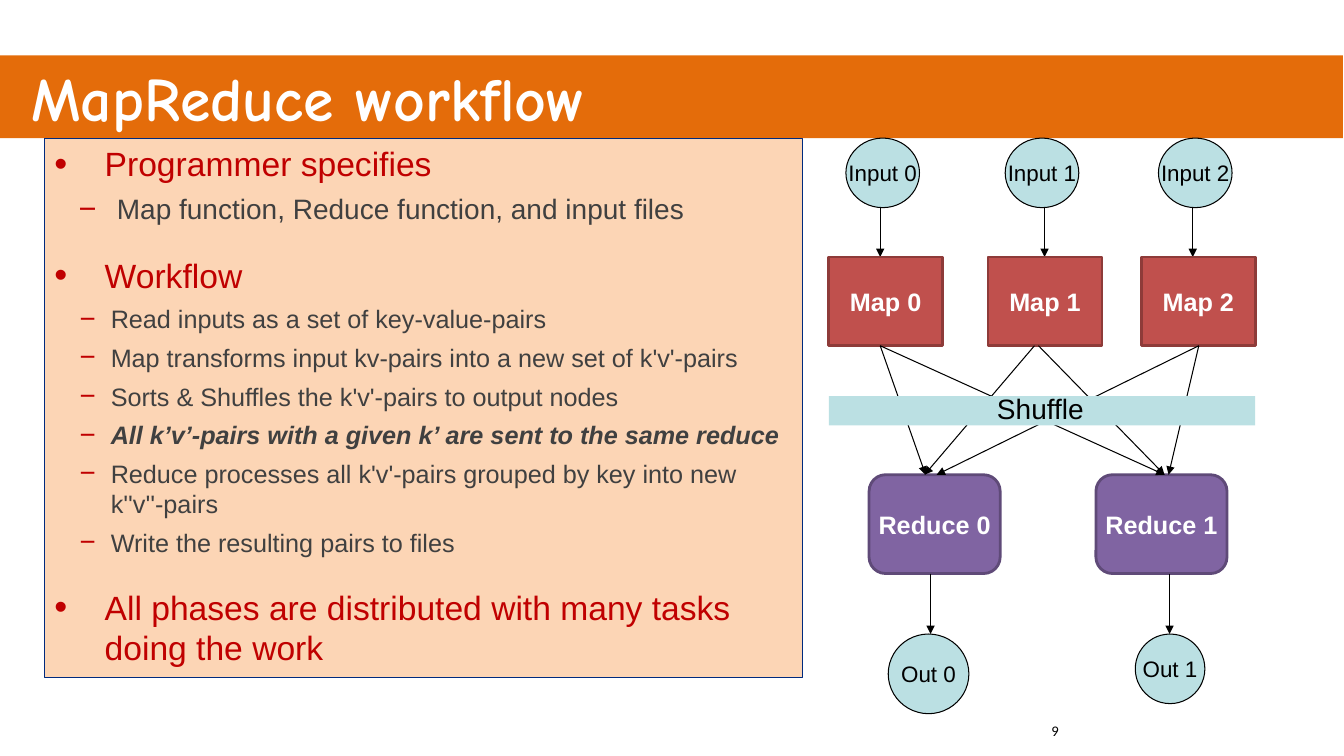
from lxml import etree
from pptx import Presentation
from pptx import util as u
from pptx.dml.color import RGBColor
from pptx.enum import shapes, text
from pptx.oxml.ns import qn

COLORS = {
    "banner": "E46C0A", "panel": "FCD5B5", "panel_line": "002A7E",
    "heading": "C00000", "detail": "404040", "data": "BBE0E3",
    "map": "C0504D", "map_line": "8E3B39", "reduce": "8064A2",
    "reduce_line": "5F4A78", "black": "000000", "white": "FFFFFF",
}
TITLE = "MapReduce workflow"
PAGE_NUMBER = "9"

# (style, text)
OUTLINE = [
    ("heading", "Programmer specifies"),
    ("lead", "Map function, Reduce function, and input files"),
    ("heading", "Workflow"),
    ("step", "Read inputs as a set of key-value-pairs"),
    ("step", "Map transforms input kv-pairs into a new set of k'v'-pairs"),
    ("step", "Sorts & Shuffles the k'v'-pairs to output nodes"),
    ("key step", "All k’v’-pairs with a given k’ are sent to the same reduce"),
    ("step", "Reduce processes all k'v'-pairs grouped by key into new k''v''-pairs"),
    ("last step", "Write the resulting pairs to files"),
    ("heading", "All phases are distributed with many tasks doing the work"),
]
# bullet, colour, size, left margin, hanging indent, space before, space after
STYLES = {
    "heading": ("•", "heading", 24, 0.5, 0.5, 6, 3),
    "lead": ("−", "detail", 20, 0.62, 0.38, 3, 15),
    "step": ("−", "detail", 18, 0.56, 0.31, 3, 3),
    "key step": ("−", "detail", 18, 0.56, 0.31, 3, 3),
    "last step": ("−", "detail", 18, 0.56, 0.31, 3, 15),
}

# shape, fill, line, line width, text colour, text size, bold
NODES = {
    "data": (shapes.MSO_SHAPE.OVAL, "data", "black", 0.75, "black", 16, False),
    "map": (shapes.MSO_SHAPE.RECTANGLE, "map", "map_line", 2, "white", 18, True),
    "reduce": (shapes.MSO_SHAPE.ROUNDED_RECTANGLE, "reduce", "reduce_line", 2, "white", 18, True),
}
INPUT_TOP, INPUT_SIZE = 1.37, (0.73, 0.69)
MAP_TOP, MAP_SIZE = 2.55, (1.13, 0.88)
REDUCE_TOP, REDUCE_SIZE = 4.71, (1.3, 0.98)
OUT_TOP = 6.29
INPUT_BOTTOM = INPUT_TOP + INPUT_SIZE[1]
MAP_BOTTOM = MAP_TOP + MAP_SIZE[1]
REDUCE_BOTTOM = REDUCE_TOP + REDUCE_SIZE[1]

# left edge of the map box, x of the input arrow,
# then (start x, end x) of the arrows to each reduce box
MAPPERS = [
    (8.22, 8.73, [(8.73, 9.18), (8.73, 11.55)]),
    (9.8, 10.36, [(10.26, 9.17), (10.3, 11.55)]),
    (11.32, 11.83, [(11.89, 9.29), (11.89, 11.59)]),
]
# left edge of the reduce box, x of the output arrow, left edge and size of the output
REDUCERS = [
    (8.62, 9.23, 8.81, (0.8, 0.79)),
    (10.87, 11.6, 11.26, (0.69, 0.69)),
]


def rgb(name):
    return RGBColor.from_string(COLORS[name])


def set_font(paragraph, color, **values):
    for name, value in values.items():
        setattr(paragraph.font, name, value)
    paragraph.font.color.rgb = rgb(color)


def add_box(slide, kind, left, top, width, height, fill, line=None, line_width=0.75):
    shape = slide.shapes.add_shape(kind, *map(u.Inches, (left, top, width, height)))
    shape.shadow.inherit = False
    shape.fill.solid()
    shape.fill.fore_color.rgb = rgb(fill)
    if line:
        shape.line.color.rgb = rgb(line)
        shape.line.width = u.Pt(line_width)
    else:
        shape.line.fill.background()
    return shape


def add_label(slide, label, left, top, width, height, size, font):
    box = slide.shapes.add_textbox(*map(u.Inches, (left, top, width, height)))
    box.text_frame.word_wrap = True
    paragraph = box.text_frame.paragraphs[0]
    paragraph.text = label
    set_font(paragraph, "black", size=u.Pt(size), name=font)


def add_node(slide, style, label, left, top, size):
    kind, fill, line, line_width, color, points, bold = NODES[style]
    shape = add_box(slide, kind, left, top, *size, fill, line, line_width)
    frame = shape.text_frame
    frame.word_wrap = False
    frame.vertical_anchor = text.MSO_ANCHOR.MIDDLE
    paragraph = frame.paragraphs[0]
    paragraph.text = label
    paragraph.alignment = text.PP_ALIGN.CENTER
    set_font(paragraph, color, size=u.Pt(points), name="Arial", bold=bold)


def add_arrow(slide, *ends):
    arrow = slide.shapes.add_connector(shapes.MSO_CONNECTOR.STRAIGHT, *map(u.Inches, ends))
    arrow.line.color.rgb = rgb("black")
    arrow.line.width = u.Pt(0.75)
    properties = arrow._element.spPr
    etree.SubElement(properties.find(qn("a:ln")), qn("a:tailEnd"), type="triangle")
    etree.SubElement(properties, qn("a:effectLst"))


def add_bullet(paragraph, bullet, left, hanging):
    properties = paragraph._p.get_or_add_pPr()
    properties.set("marL", str(u.Inches(left)))
    properties.set("indent", str(-u.Inches(hanging)))
    color = etree.SubElement(properties, qn("a:buClr"))
    etree.SubElement(color, qn("a:srgbClr"), val=COLORS["heading"])
    etree.SubElement(properties, qn("a:buSzPct"), val="110000")
    etree.SubElement(properties, qn("a:buFont"), typeface="Arial")
    etree.SubElement(properties, qn("a:buChar"), char=bullet)


def add_title(slide):
    banner = add_box(slide, shapes.MSO_SHAPE.RECTANGLE, -0.01, 0.55, 13.33, 0.82, "banner")
    frame = banner.text_frame
    frame.margin_left = u.Inches(0.32)
    frame.vertical_anchor = text.MSO_ANCHOR.MIDDLE
    paragraph = frame.paragraphs[0]
    paragraph.text = TITLE
    paragraph.alignment = text.PP_ALIGN.LEFT
    set_font(paragraph, "white", size=u.Pt(44), name="Comic Neue", bold=True)


def add_outline(slide):
    panel = add_box(slide, shapes.MSO_SHAPE.RECTANGLE, 0.44, 1.37, 7.52, 5.35,
                    "panel", "panel_line")
    frame = panel.text_frame
    frame.word_wrap = True
    frame.vertical_anchor = text.MSO_ANCHOR.TOP
    for index, (style, line) in enumerate(OUTLINE):
        bullet, color, size, left, hanging, before, after = STYLES[style]
        paragraph = frame.add_paragraph() if index else frame.paragraphs[0]
        paragraph.text = line
        paragraph.level = 0 if style == "heading" else 1
        add_bullet(paragraph, bullet, left, hanging)
        layout = {"alignment": text.PP_ALIGN.LEFT, "line_spacing": 1.0,
                  "space_before": u.Pt(before if index else 0), "space_after": u.Pt(after)}
        for name, value in layout.items():
            setattr(paragraph, name, value)
        strong = style == "key step"
        set_font(paragraph, color, size=u.Pt(size), name="Arial", bold=strong, italic=strong)


def add_workflow(slide):
    for index, (left, arrow_x, _) in enumerate(MAPPERS):
        add_node(slide, "data", f"Input {index}", left + 0.17, INPUT_TOP, INPUT_SIZE)
        add_arrow(slide, arrow_x, INPUT_BOTTOM, arrow_x, MAP_TOP)
        add_node(slide, "map", f"Map {index}", left, MAP_TOP, MAP_SIZE)
    for index, (left, arrow_x, out_left, out_size) in enumerate(REDUCERS):
        add_node(slide, "reduce", f"Reduce {index}", left, REDUCE_TOP, REDUCE_SIZE)
        add_node(slide, "data", f"Out {index}", out_left, OUT_TOP, out_size)
        add_arrow(slide, arrow_x, REDUCE_BOTTOM, arrow_x, OUT_TOP)
    for _, _, routes in MAPPERS:
        for start_x, end_x in routes:
            add_arrow(slide, start_x, MAP_BOTTOM, end_x, REDUCE_TOP)
    add_box(slide, shapes.MSO_SHAPE.RECTANGLE, 8.22, 3.93, 4.23, 0.29, "data")
    add_label(slide, "Shuffle", 9.79, 3.83, 1.26, 0.52, 20, "Arial")


def main():
    presentation = Presentation()
    presentation.slide_width = u.Inches(13.33)
    presentation.slide_height = u.Inches(7.5)
    slide = presentation.slides.add_slide(presentation.slide_layouts[6])
    add_title(slide)
    add_outline(slide)
    add_label(slide, PAGE_NUMBER, 10.33, 7.11, 3, 0.4, 10.5, "Calibri")
    add_workflow(slide)
    presentation.save("out.pptx")


if __name__ == "__main__":
    main()
